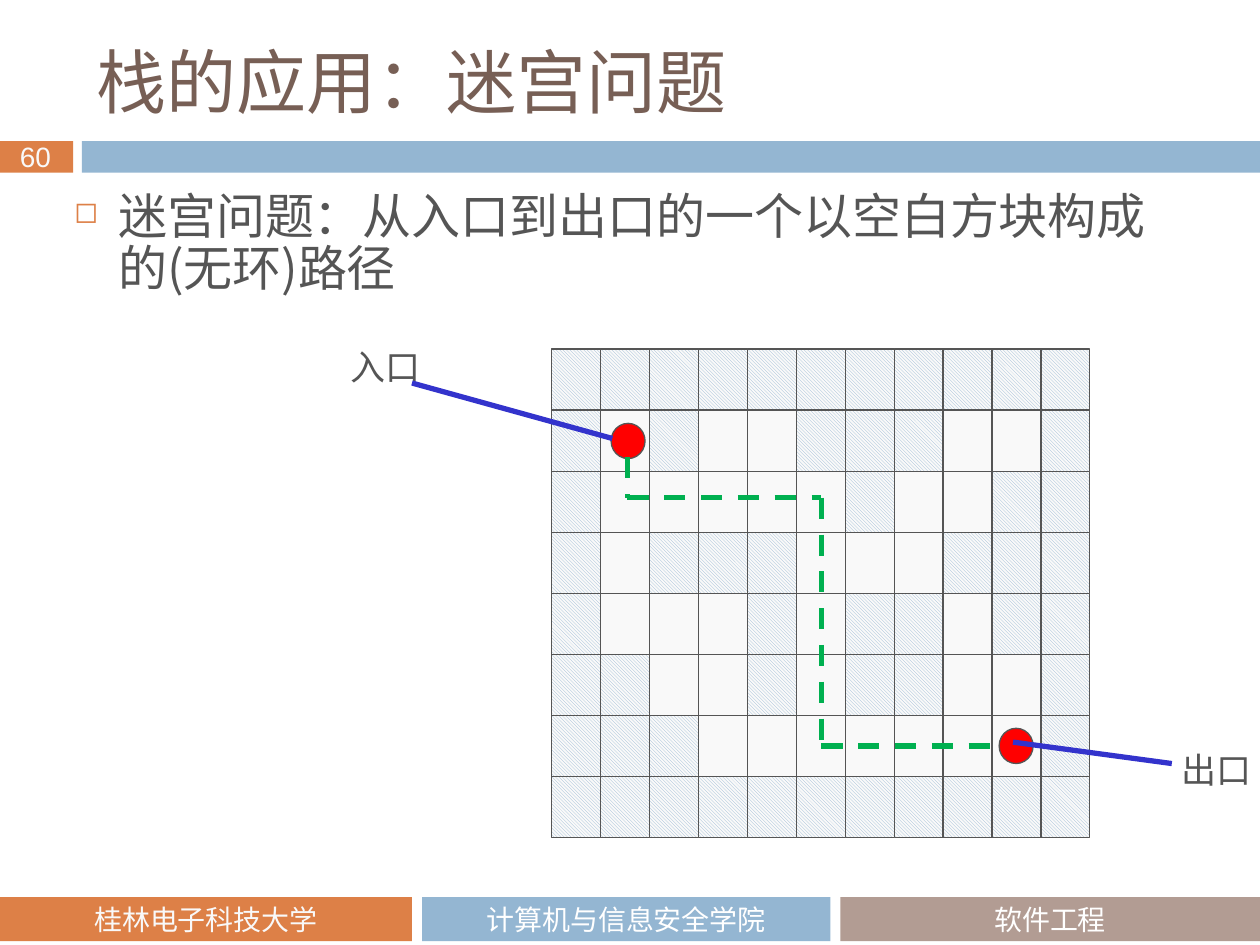
from lxml import etree
from pptx import Presentation
from pptx.dml.color import RGBColor
from pptx.enum.dml import MSO_LINE_DASH_STYLE, MSO_PATTERN_TYPE
from pptx.enum.shapes import MSO_CONNECTOR, MSO_SHAPE
from pptx.enum.text import MSO_ANCHOR, MSO_AUTO_SIZE, PP_ALIGN
from pptx.oxml.ns import qn
from pptx.util import Inches, Pt

RECT, OVAL = MSO_SHAPE.RECTANGLE, MSO_SHAPE.OVAL
STRAIGHT = MSO_CONNECTOR.STRAIGHT
DASH = MSO_LINE_DASH_STYLE.DASH
HATCH = MSO_PATTERN_TYPE.LIGHT_DOWNWARD_DIAGONAL
CENTER = PP_ALIGN.CENTER
TOP, MIDDLE = MSO_ANCHOR.TOP, MSO_ANCHOR.MIDDLE
GROW = MSO_AUTO_SIZE.SHAPE_TO_FIT_TEXT

COLORS = {
    "orange": "DD8047", "blue": "94B6D2", "taupe": "B29C93", "white": "FFFFFF",
    "pale": "F9F9F9", "brown": "775F55", "gray": "555555", "red": "FF0000",
    "pointer": "3333CC", "route": "00B050",
}
CJK = "Noto Sans CJK SC"
MAZE = [
    "###########",
    "#.#..###..#",
    "#.....#..##",
    "#.###...###",
    "#...#.##.##",
    "##..#.##..#",
    "###.......#",
    "###########",
]
MAZE_LEFT, MAZE_TOP, MAZE_W, MAZE_H = 4.38, 2.77, 4.27, 3.88
ROUTE = [(4.98, 3.63), (4.98, 3.95), (6.52, 3.95), (6.52, 5.92), (7.93, 5.92)]
POINTERS = [((3.27, 3.04), (4.86, 3.48)), ((8.04, 5.89), (9.3, 6.06))]


def rgb(name):
    """Return the named palette colour."""
    return RGBColor.from_string(COLORS[name])


def set_text(tf, text, size, font, color, anchor=TOP, align=None, wrap=True):
    """Write one formatted paragraph into a text frame and return it."""
    for key, value in {"word_wrap": wrap, "vertical_anchor": anchor}.items():
        setattr(tf, key, value)
    p = tf.paragraphs[0]
    p.alignment = align
    r = p.add_run()
    r.text = text
    for key, value in {"size": Pt(size), "name": font}.items():
        setattr(r.font, key, value)
    r.font.color.rgb = rgb(color)
    etree.SubElement(r.font._element, qn("a:ea"), typeface=font)
    return p


def add_text(s, box, *args, grow=False, **kwargs):
    """Add a text box and return its paragraph."""
    tf = s.shapes.add_textbox(*map(Inches, box)).text_frame
    if grow:
        tf.auto_size = GROW
    return set_text(tf, *args, wrap=not grow, **kwargs)


def add_shape(shapes, kind, box, fill, outline=None):
    """Add a filled preset shape without shadow."""
    sp = shapes.add_shape(kind, *map(Inches, box))
    sp.shadow.inherit = False
    sp.fill.solid()
    sp.fill.fore_color.rgb = rgb(fill)
    if outline:
        sp.line.color.rgb = rgb(outline)
        sp.line.width = Pt(0.75)
    else:
        sp.line.fill.background()
    return sp


def add_line(s, start, end, color, dash=None):
    """Add a straight line between two points."""
    line = s.shapes.add_connector(STRAIGHT, *map(Inches, start + end))
    line.line.color.rgb = rgb(color)
    line.line.width = Pt(3)
    line.line.dash_style = dash
    etree.SubElement(line._element.spPr, qn("a:effectLst"))


def add_bullet(p, char, color, percent, indent):
    """Give a paragraph a coloured bullet with a hanging indent."""
    pPr = p._p.get_or_add_pPr()
    pPr.set("marL", str(Inches(indent)))
    pPr.set("indent", str(-Inches(indent)))
    clr = etree.SubElement(pPr, qn("a:buClr"))
    etree.SubElement(clr, qn("a:srgbClr"), val=COLORS[color])
    etree.SubElement(pPr, qn("a:buSzPct"), val=str(percent * 1000))
    etree.SubElement(pPr, qn("a:buChar"), char=char)


def add_frame(s):
    """Add the header bars, page number and footer bars."""
    add_shape(s.shapes, RECT, (0, 1.12, 0.58, 0.25), "orange")
    add_shape(s.shapes, RECT, (0.65, 1.12, 9.35, 0.25), "blue")
    add_text(s, (0.06, 1.06, 0.48, 0.37), "60", 16, "Arial", "pale", grow=True)
    for left, width, fill, text, color in [
        (0, 3.27, "orange", "桂林电子科技大学", "pale"),
        (3.35, 3.24, "blue", "计算机与信息安全学院", "white"),
        (6.67, 3.33, "taupe", "软件工程", "white"),
    ]:
        bar = add_shape(s.shapes, RECT, (left, 7.12, width, 0.35), fill)
        set_text(bar.text_frame, text, 16, "Calibri", color, MIDDLE, CENTER)


def add_maze(s):
    """Add the grid of walls and free cells with entrance and exit dots."""
    group = s.shapes.add_group_shape()
    w, h = MAZE_W / len(MAZE[0]), MAZE_H / len(MAZE)
    for row, cells in enumerate(MAZE):
        for col, cell in enumerate(cells):
            box = (MAZE_LEFT + col * w, MAZE_TOP + row * h, w, h)
            sp = add_shape(group.shapes, RECT, box, "pale", "gray")
            if cell == "#":
                sp.fill.patterned()
                sp.fill.pattern = HATCH
                sp.fill.fore_color.rgb = rgb("blue")
                sp.fill.back_color.rgb = rgb("pale")
    for left, top in [(4.85, 3.36), (7.93, 5.78)]:
        add_shape(group.shapes, OVAL, (left, top, 0.27, 0.28), "red", "gray")


def main():
    """Build the maze slide."""
    prs = Presentation()
    prs.slide_width, prs.slide_height = Inches(10), Inches(7.5)
    s = prs.slides.add_slide(prs.slide_layouts[6])
    add_frame(s)
    add_text(s, (0.67, 0.25, 8.92, 0.78), "栈的应用：迷宫问题", 40,
             "Noto Sans CJK JP", "brown", anchor=MIDDLE)
    p = add_text(s, (0.49, 1.47, 8.92, 1.02),
                 "迷宫问题：从入口到出口的一个以空白方块构成的(无环)路径", 28, CJK, "gray")
    add_bullet(p, "◻", "orange", 60, 0.35)
    p.line_spacing = Pt(30)
    add_maze(s)
    for left, top, label in [(2.68, 2.69, "入口"), (9.28, 5.89, "出口")]:
        add_text(s, (left, top, 0.76, 0.44), label, 20, CJK, "gray", grow=True)
    for start, end in POINTERS:
        add_line(s, start, end, "pointer")
    for start, end in zip(ROUTE, ROUTE[1:]):
        add_line(s, start, end, "route", DASH)
    prs.save("out.pptx")


if __name__ == "__main__":
    main()
